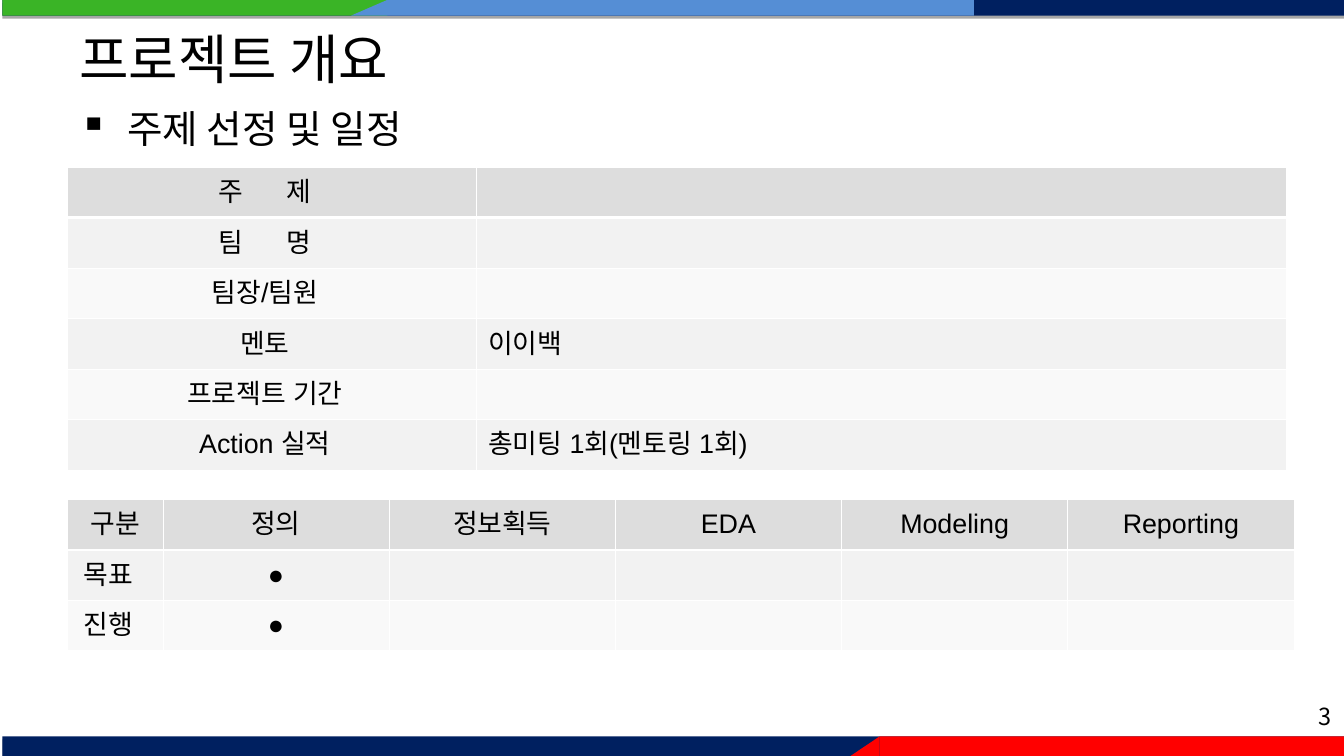
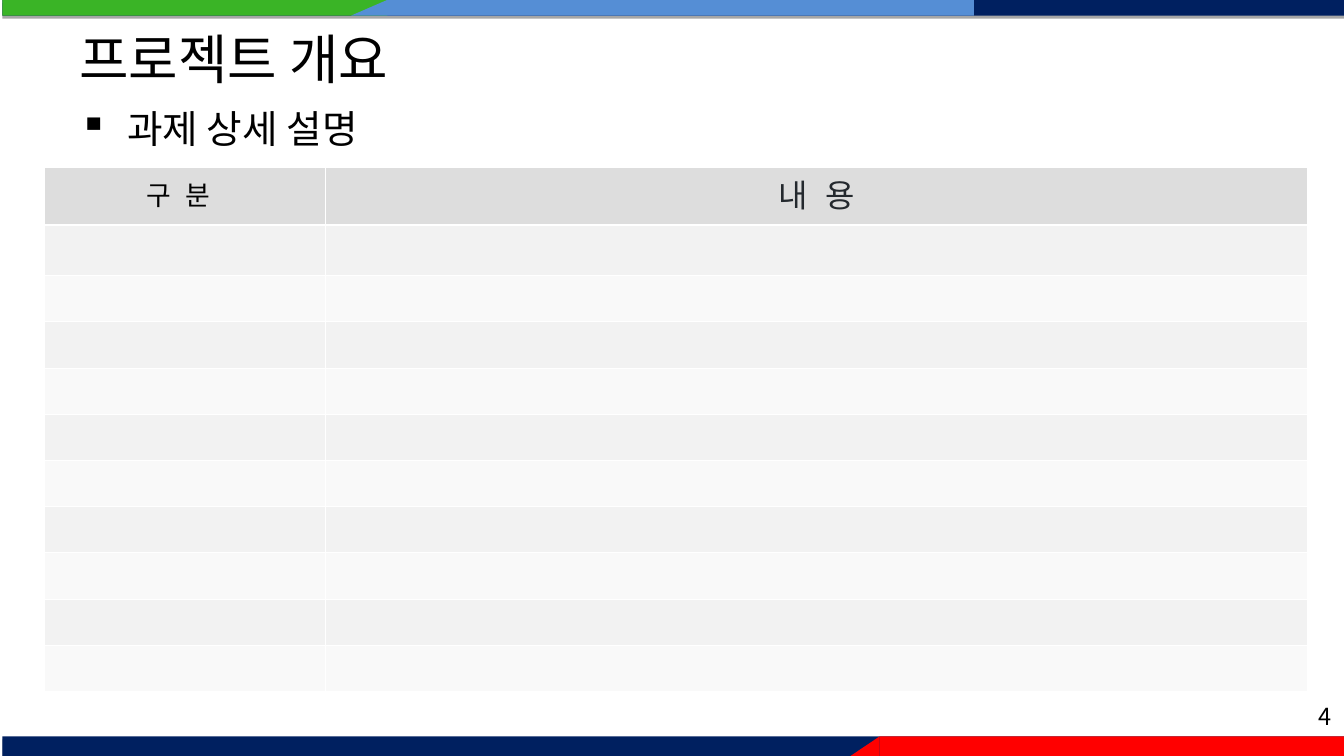
from lxml import etree
from pptx import Presentation
from pptx.dml.color import RGBColor
from pptx.enum.shapes import MSO_SHAPE
from pptx.enum.text import MSO_ANCHOR, PP_ALIGN
from pptx.oxml.ns import qn
from pptx.util import Cm, Pt

RECT, TRIANGLE = MSO_SHAPE.RECTANGLE, MSO_SHAPE.RIGHT_TRIANGLE
MIDDLE, TOP = MSO_ANCHOR.MIDDLE, MSO_ANCHOR.TOP
LEFT, CENTER, RIGHT = PP_ALIGN.LEFT, PP_ALIGN.CENTER, PP_ALIGN.RIGHT

WIDTH, HEIGHT = 28.22, 15.88
EDGE = 0.05
TOP_H, BOTTOM_H = 0.33, 0.41
MARGIN = 1.42
TABLE_TOP = 3.51


def rgb(value):
    return RGBColor.from_string(value)


def sub(parent, tag, **attrs):
    """Append a child element such as a:ln with the given attributes."""
    child = etree.SubElement(parent, qn(tag))
    for name, value in attrs.items():
        child.set(name, str(value))
    return child


class Deck:
    """The style of the deck and the slide being filled."""
    HEAD_FONT, TABLE_FONT = "Noto Sans CJK KR", "Arial"
    BLACK, WHITE = "000000", "FFFFFF"
    NAVY, BLUE, GREEN, RED = "002060", "558ED5", "3AB426", "FF0000"
    HEADER, BANDS = "DDDDDD", ("F9F9F9", "F2F2F2")
    THIN, THICK = 0.45, 1.47
    LABEL_MARGINS = {"margin_left": Cm(0.2), "margin_right": Cm(0.5)}

    def __init__(self):
        self.prs = Presentation()
        self.prs.slide_width, self.prs.slide_height = Cm(WIDTH), Cm(HEIGHT)

    def add_slide(self, title, subtitle, number):
        self.s = self.prs.slides.add_slide(self.prs.slide_layouts[6])
        self.bands()
        self.text(title, MARGIN, 0.64, 25.4, 1.17, size=32)
        self.bullet(self.text(subtitle, MARGIN, 2.2, 25.4, 1.27, size=23,
                              anchor=TOP, margin_top=0))
        self.text(str(number), 26.82, 14.61, 1.4, 0.86, size=14, align=RIGHT)

    def bands(self):
        bottom, red, blue, navy = HEIGHT - BOTTOM_H, 18.47, 8.13, 20.45
        self.band(RECT, EDGE, WIDTH, bottom, BOTTOM_H, self.NAVY, shadow=True)
        self.band(TRIANGLE, red - 0.61, red, bottom, BOTTOM_H, self.RED)
        self.band(RECT, red, WIDTH, bottom, BOTTOM_H, self.RED)
        self.band(RECT, EDGE, WIDTH, 0, TOP_H, self.NAVY, shadow=True)
        self.band(RECT, EDGE, blue, 0, TOP_H, self.GREEN)
        self.band(RECT, blue, navy, 0, TOP_H, self.BLUE)
        self.band(TRIANGLE, blue - 0.76, blue, 0, TOP_H, self.BLUE)

    def band(self, kind, left, right, y, h, color, shadow=False):
        """Add one piece of a band; triangles rise to the right."""
        sp = self.s.shapes.add_shape(kind, Cm(left), Cm(y), Cm(right - left), Cm(h))
        sp.fill.solid()
        sp.fill.fore_color.rgb = rgb(color)
        sp.line.fill.background()
        sp.shadow.inherit = False
        spPr = sp._element.spPr
        if kind == TRIANGLE:
            spPr.find(qn("a:xfrm")).set("flipH", "1")
        if shadow:
            outer = sub(spPr.find(qn("a:effectLst")), "a:outerShdw", blurRad=0,
                        dist=Pt(1.8), dir=5400000, rotWithShape=0)
            clr = sub(outer, "a:srgbClr", val=self.BLACK)
            sub(clr, "a:alpha", val=35000)

    def run(self, p, text, font, size, color, spacing=0):
        r = p.add_run()
        r.text = text
        for name, value in {"name": font, "size": Pt(size)}.items():
            setattr(r.font, name, value)
        r.font.color.rgb = rgb(color)
        rPr = r.font._element
        sub(rPr, "a:ea", typeface=font)
        if spacing:
            rPr.set("spc", str(int(spacing * 100)))

    def text(self, text, x, y, w, h, size, align=LEFT, anchor=MIDDLE, **frame):
        """Add a one-line text box and return its paragraph."""
        tf = self.s.shapes.add_textbox(Cm(x), Cm(y), Cm(w), Cm(h)).text_frame
        frame.update(word_wrap=True, vertical_anchor=anchor)
        for name, value in frame.items():
            setattr(tf, name, value)
        p = tf.paragraphs[0]
        p.alignment = align
        self.run(p, text, self.HEAD_FONT, size, self.BLACK)
        return p

    def bullet(self, p):
        pPr = p._p.get_or_add_pPr()
        pPr.set("marL", str(Cm(1)))
        pPr.set("indent", str(-Cm(1)))
        sub(sub(pPr, "a:buClr"), "a:srgbClr", val=self.BLACK)
        sub(pPr, "a:buChar", char="▪")

    def table(self, x, y, cols, rows, cells, body_align=CENTER, label_head=True):
        """Add a banded table; cells maps (row, column) to a text or (text, format)."""
        shape = self.s.shapes.add_table(len(rows), len(cols), Cm(x), Cm(y),
                                        Cm(sum(cols)), Cm(sum(rows)))
        tbl = shape.table
        tbl.first_row = tbl.horz_banding = False
        for col, w in zip(tbl.columns, cols):
            col.width = Cm(w)
        for r, h in enumerate(rows):
            tbl.rows[r].height = Cm(h)
            for c in range(len(cols)):
                cell = tbl.cell(r, c)
                self.cell_box(cell, r)
                if c == 0 and (r > 0 or label_head):
                    for name, value in self.LABEL_MARGINS.items():
                        setattr(cell, name, value)
                self.cell_text(cell, cells.get((r, c), ""),
                               body_align if c else CENTER)

    def cell_box(self, cell, row):
        cell.vertical_anchor = MIDDLE
        tcPr = cell._tc.get_or_add_tcPr()
        widths = {"L": self.THIN, "R": self.THIN,
                  "T": self.THICK if row == 1 else self.THIN,
                  "B": self.THICK if row == 0 else self.THIN}
        for side, width in widths.items():
            ln = sub(tcPr, "a:ln" + side, w=Pt(width))
            sub(sub(ln, "a:solidFill"), "a:srgbClr", val=self.WHITE)
        cell.fill.solid()
        cell.fill.fore_color.rgb = rgb(self.BANDS[row % 2] if row else self.HEADER)

    def cell_text(self, cell, content, align):
        """Write a cell; a gap in points widens the space between two syllables."""
        text, fmt = content if isinstance(content, tuple) else (content, {})
        size, color = fmt.get("size", 16), fmt.get("color", self.BLACK)
        p = cell.text_frame.paragraphs[0]
        p.alignment = align
        if not text:
            sub(p._p, "a:endParaRPr", sz=size * 100)
        elif "gap" in fmt:
            first, last = text.split()
            for part, gap in ((first, 0), (" ", fmt["gap"]), (last, 0)):
                self.run(p, part, self.TABLE_FONT, size, color, gap)
        else:
            self.run(p, text, self.TABLE_FONT, size, color)


def main():
    deck = Deck()

    deck.add_slide("프로젝트 개요", "주제 선정 및 일정", 3)
    labels = [("주 제", {"gap": 22}), ("팀 명", {"gap": 22}), "팀장/팀원",
              "멘토", "프로젝트 기간", "Action 실적"]
    overview = {(r, 0): label for r, label in enumerate(labels)}
    overview.update({(3, 1): "이이백", (5, 1): "총미팅 1회(멘토링 1회)"})
    deck.table(MARGIN, TABLE_TOP, [8.58, 17], [1.06] * 6, overview, body_align=LEFT)

    steps = ["구분", "정의", "정보획득", "EDA", "Modeling", "Reporting"]
    schedule = {(0, c): step for c, step in enumerate(steps)}
    for r, label in enumerate(["목표", "진행"], 1):
        schedule.update({(r, 0): label, (r, 1): "●"})
    deck.table(MARGIN, 10.49, [2] + [4.75] * 5, [1.06] * 3, schedule,
               label_head=False)

    deck.add_slide("프로젝트 개요", "과제 상세 설명", 4)
    details = {(0, 0): ("구 분", {"gap": 4.5}),
               (0, 1): ("내 용", {"gap": 5.3, "size": 19, "color": "24292E"})}
    deck.table(0.94, TABLE_TOP, [5.9, 20.6], [1.22, 1.06] + [0.97] * 9, details)

    deck.prs.save("out.pptx")


if __name__ == "__main__":
    main()
